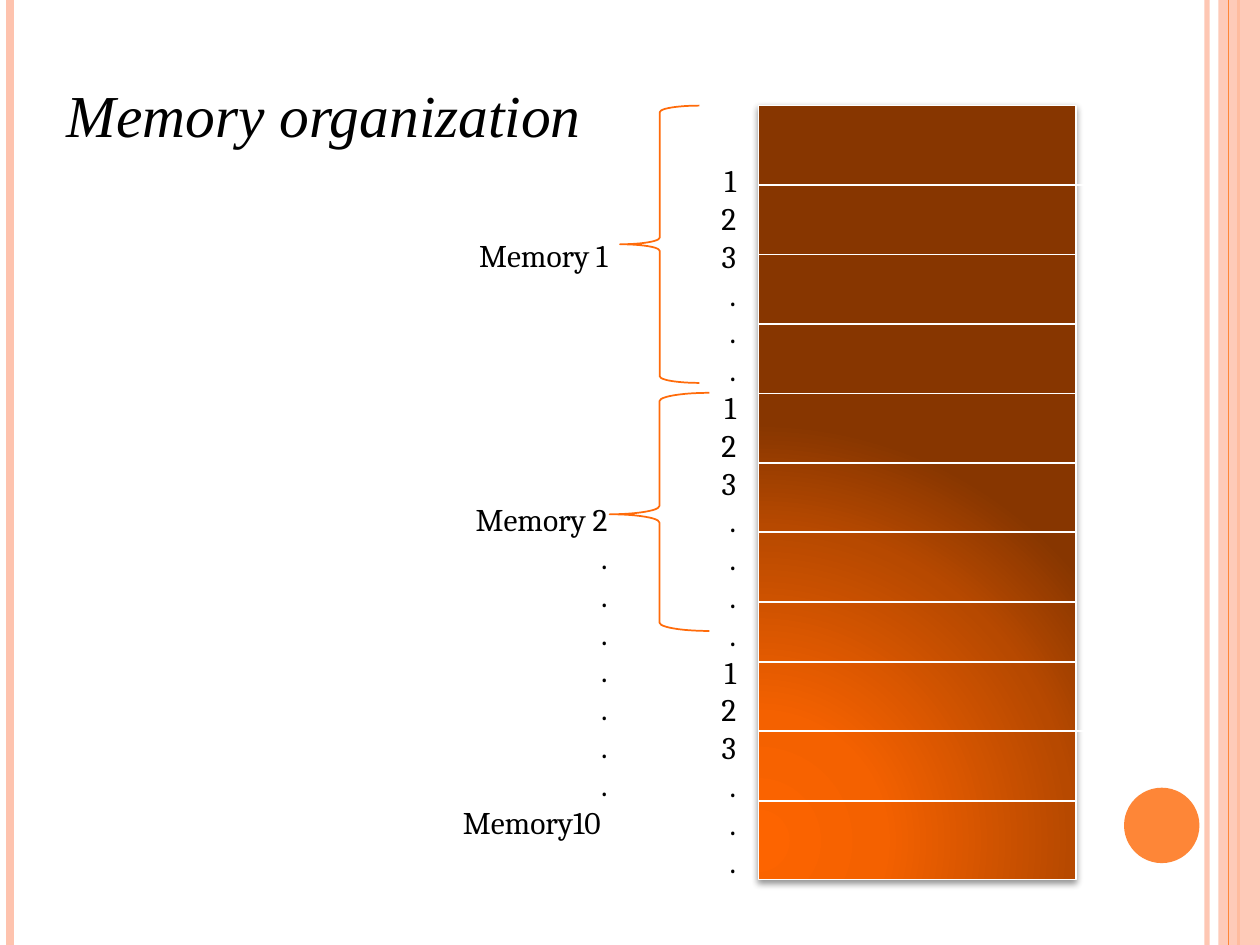
import pptx
import pptx.dml.color
import pptx.enum.shapes
import pptx.enum.text
import pptx.oxml
import pptx.oxml.ns
import pptx.util

Cm = pptx.util.Cm
Pt = pptx.util.Pt
Shape = pptx.enum.shapes.MSO_SHAPE
Align = pptx.enum.text.PP_ALIGN

INK = "000000"
WHITE = "FFFFFF"
ORANGE = "FE8637"
PEACH = "FEC3AE"
BRACE = "FF6B0A"
LINE_PITCH = 21.6


def color(value):
    """Turn a hex string into a colour."""
    return pptx.dml.color.RGBColor.from_string(value)


def element(tag, content="", **attributes):
    """Build one drawing element with its attributes and inner markup."""
    listed = " ".join(f'{name}="{value}"' for name, value in attributes.items())
    return pptx.oxml.parse_xml(
        f'<a:{tag} {pptx.oxml.ns.nsdecls("a")} {listed}>{content}</a:{tag}>')


def fade(owner, percent):
    """Set the opacity of the first colour found in an element."""
    tone = next(owner.iter(pptx.oxml.ns.qn("a:srgbClr")))
    tone.append(element("alpha", val=percent * 1000))


class Painter:
    """Hold the style and the current page, and draw on it."""

    def __init__(self, page, font, size):
        """Remember the page and the text style."""
        self.page, self.font, self.size = page, font, size

    def line(self, left, top, right, bottom, tone, width, opacity=100):
        """Draw a straight line."""
        line = self.page.shapes.add_connector(
            pptx.enum.shapes.MSO_CONNECTOR.STRAIGHT,
            Cm(left), Cm(top), Cm(right), Cm(bottom))
        line.line.color.rgb = color(tone)
        line.line.width = Pt(width)
        if opacity < 100:
            fade(line._element.spPr, opacity)
        line._element.spPr.append(element("effectLst"))

    def shape(self, kind, area, fill=None, outline=None, opacity=100):
        """Draw a preset shape."""
        shape = self.page.shapes.add_shape(kind, *map(Cm, area))
        shape.shadow.inherit = False
        if fill:
            shape.fill.solid()
            shape.fill.fore_color.rgb = color(fill)
        else:
            shape.fill.background()
        if outline:
            shape.line.color.rgb = color(outline)
            shape.line.width = Pt(1)
        else:
            shape.line.fill.background()
        if opacity < 100:
            fade(shape._element.spPr, opacity)
        return shape

    def radial(self, shape, stops, focus):
        """Give an unfilled shape a circular gradient."""
        marks = "".join(f'<a:gs pos="{place * 1000}"><a:srgbClr val="{tone}"/></a:gs>'
                        for place, tone in stops)
        edges = " ".join(f'{side}="{part * 1000}"' for side, part in zip("ltrb", focus))
        blank = shape._element.spPr.find(pptx.oxml.ns.qn("a:noFill"))
        blank.getparent().replace(blank, element(
            "gradFill", f'<a:gsLst>{marks}</a:gsLst>'
            f'<a:path path="circle"><a:fillToRect {edges}/></a:path>', rotWithShape=1))

    def shadow(self, shape, opacity, blur, distance):
        """Cast a shadow straight down."""
        effects = shape._element.spPr.find(pptx.oxml.ns.qn("a:effectLst"))
        effects.append(element(
            "outerShdw",
            f'<a:srgbClr val="{INK}"><a:alpha val="{opacity * 1000}"/></a:srgbClr>',
            blurRad=Pt(blur), dist=Pt(distance), dir=5400000, rotWithShape=0))

    def title(self, area, text, font, size):
        """Move, fill and format the title placeholder."""
        box = self.page.shapes.title
        box.left, box.top, box.width, box.height = map(Cm, area)
        frame = box.text_frame
        frame.auto_size = pptx.enum.text.MSO_AUTO_SIZE.NONE
        frame.vertical_anchor = pptx.enum.text.MSO_ANCHOR.TOP
        frame.margin_top = Cm(0.25)
        para = frame.paragraphs[0]
        para.alignment = Align.LEFT
        self.span(para, text, font, size).font.italic = True

    def span(self, para, text, font, size):
        """Add one run of text."""
        span = para.add_run()
        span.text = text
        span.font.name = font
        span.font.size = Pt(size)
        span.font.color.rgb = color(INK)
        return span

    def column(self, area, entries, margin_top=0.13, gaps=None):
        """Write right-aligned entries, with gaps in lines before some of them."""
        box = self.page.shapes.add_textbox(*map(Cm, area))
        frame = box.text_frame
        frame.word_wrap = True
        frame.margin_top = Cm(margin_top)
        for index, entry in enumerate(entries):
            para = frame.add_paragraph() if index else frame.paragraphs[0]
            para.alignment = Align.RIGHT
            if gaps and entry in gaps:
                para.space_before = Pt(gaps[entry] * LINE_PITCH)
            self.span(para, entry, self.font, self.size)


deck = pptx.Presentation()
deck.slide_width, deck.slide_height = Cm(25.4), Cm(19.05)
page = deck.slides.add_slide(deck.slide_layouts[5])
painter = Painter(page, "Cambria", 18)

painter.line(24.33, 0, 24.33, 19.05, PEACH, 3, 93)
painter.line(0.2, 0, 0.2, 19.05, PEACH, 4.5)
painter.line(24.97, 0, 24.97, 19.05, ORANGE, 1.5)
painter.shape(Shape.RECTANGLE, (24.56, 0, 0.84, 19.05), PEACH, opacity=87)
painter.line(24.77, 0, 24.77, 19.05, ORANGE, 0.75)
painter.shape(Shape.OVAL, (22.66, 15.88, 1.52, 1.52), ORANGE)

memory = painter.shape(Shape.RECTANGLE, (15.29, 2.13, 6.4, 15.6), outline=WHITE)
painter.radial(memory, [(0, "FD6400"), (30, "F46100"), (75, "B74900"), (100, "873600")],
               (5, 100, 120, 10))
painter.shadow(memory, 42, 4, 1.6)
painter.title((1.09, 1.32, 11.61, 2.49), "Memory organization", "Times New Roman", 34)

dividers = [3.73 + 1.4 * row for row in range(7)] + [13.34 + 1.4 * row for row in range(3)]
for row, height in enumerate(dividers):
    painter.line(15.29, height, 21.89 if row in (0, 8) else 21.69, height, WHITE, 1)

cells = [entry for dots in (3, 4, 3) for entry in ["1", "2", "3"] + ["."] * dots]
painter.column((12.5, 3.12, 2.59, 15.65), cells)
painter.shape(Shape.LEFT_BRACE, (12.5, 2.13, 1.6, 5.59), outline=BRACE)
second = painter.shape(Shape.LEFT_BRACE, (12.29, 7.92, 2.01, 4.8), outline=BRACE)
second.adjustments[1] = 0.51
painter.column((8.31, 2.34, 4.19, 14.88),
               ["Memory 1", "Memory 2"] + ["."] * 7 + ["Memory10 "],
               margin_top=2.41, gaps={"Memory 2": 6})

deck.save("out.pptx")
